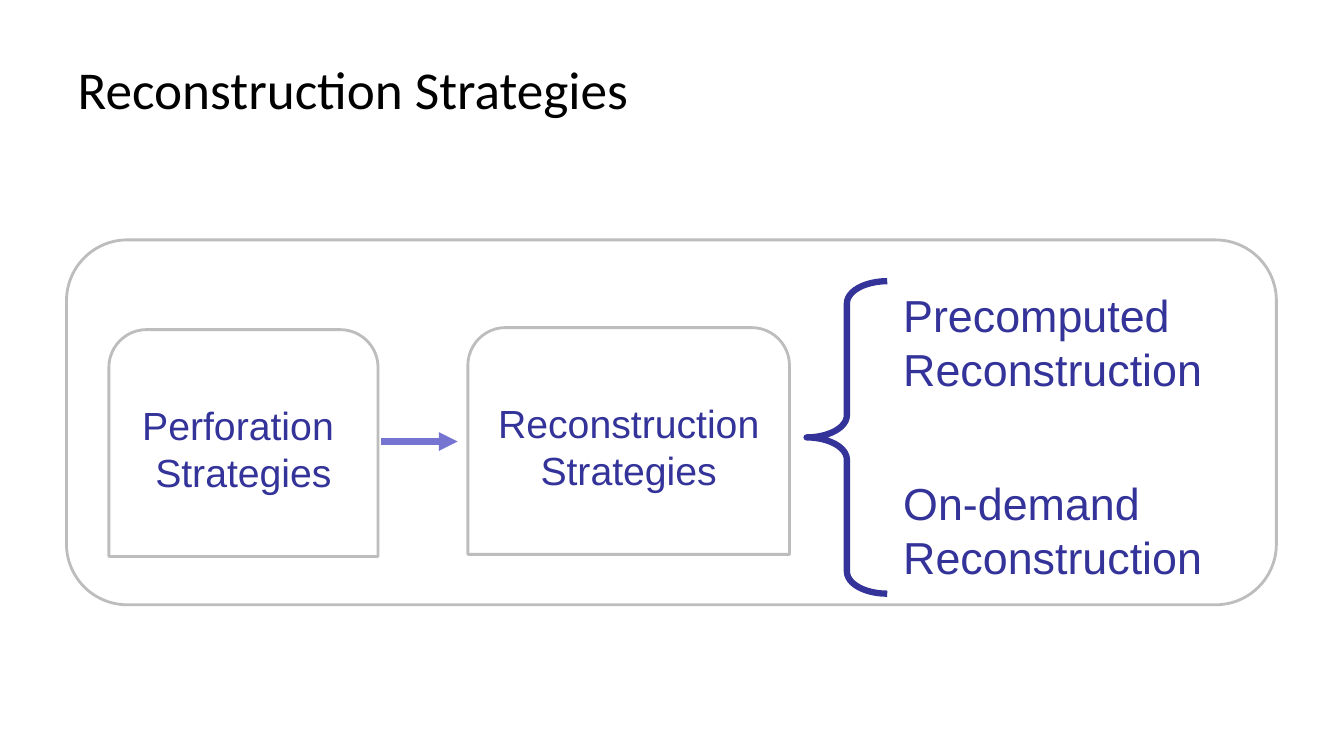
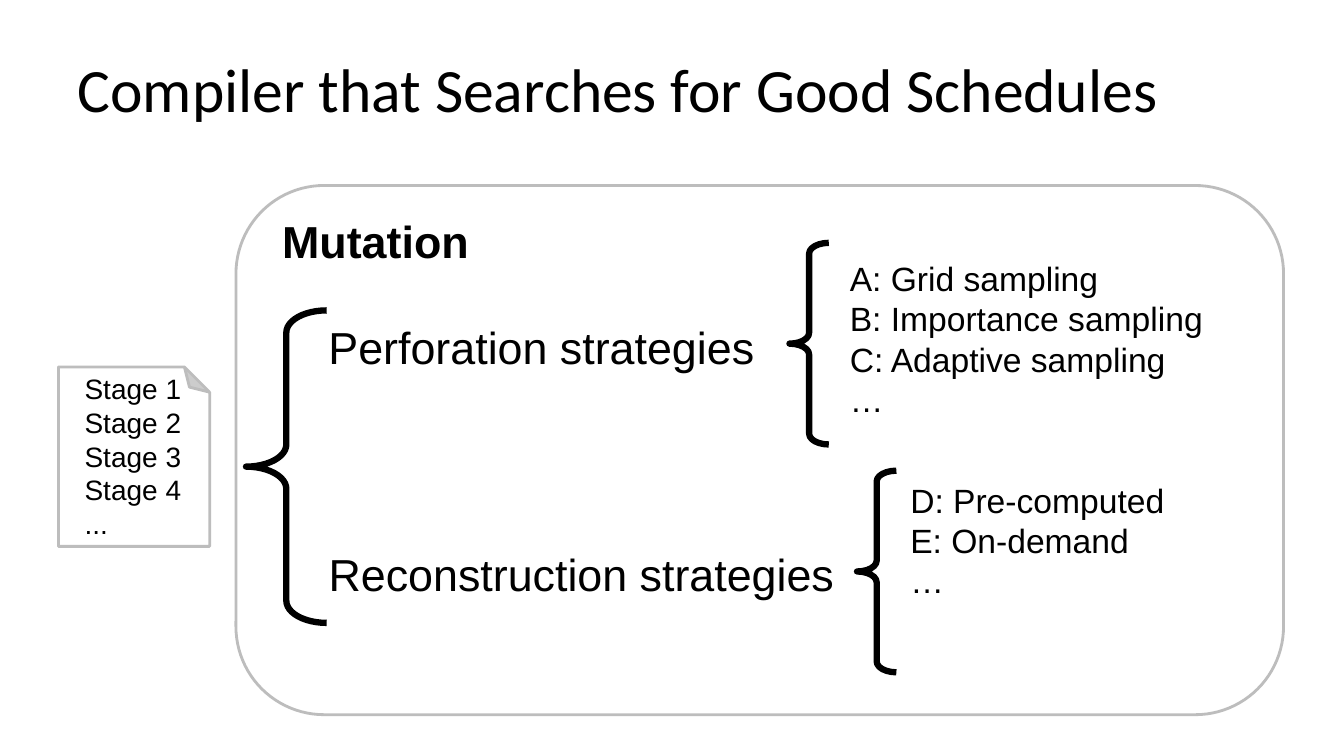
import pptx
import pptx.util
import pptx.dml.color
import pptx.enum.shapes
import pptx.enum.text
import pptx.oxml
import pptx.oxml.ns

RGBColor = pptx.dml.color.RGBColor
SHAPE = pptx.enum.shapes.MSO_SHAPE
ALIGN = pptx.enum.text.PP_ALIGN
ANCHOR = pptx.enum.text.MSO_ANCHOR

BLACK = RGBColor(0x00, 0x00, 0x00)
WHITE = RGBColor(0xFF, 0xFF, 0xFF)
GREY = RGBColor(0xBD, 0xBD, 0xBD)
NAVY = RGBColor(0x33, 0x33, 0x99)
LILAC = RGBColor(0x75, 0x75, 0xD1)

SCALE = 9144
WIDE, HIGH = 1333, 750
TITLE = (67, 25, 1242, 125)
THIN, THICK = 2, 4.5


def px(*nums):
    return [pptx.util.Emu(num * SCALE) for num in nums]


def write(frame, lines, size=32, face="Arial", color=BLACK, bold=False,
          align=ALIGN.LEFT, anchor=ANCHOR.TOP):
    frame.word_wrap = True
    frame.auto_size = pptx.enum.text.MSO_AUTO_SIZE.NONE
    frame.vertical_anchor = anchor
    frame.text = "\n".join(lines)
    for para in frame.paragraphs:
        para.alignment = align
        for run in para.runs:
            font = run.font
            font.name, font.size = face, pptx.util.Pt(size)
            font.bold, font.color.rgb = bold, color


def label(slide, box, *lines, **style):
    write(slide.shapes.add_textbox(*px(*box)).text_frame, lines, **style)


def shape(slide, kind, box, line=GREY, width=THIN, alpha=100):
    item = slide.shapes.add_shape(kind, *px(*box))
    item.shadow.inherit = False
    item.line.color.rgb = line
    item.line.width = pptx.util.Pt(width)
    item.fill.solid()
    item.fill.fore_color.rgb = WHITE
    if alpha < 100:
        tint = item.fill._xPr.find(".//" + pptx.oxml.ns.qn("a:srgbClr"))
        pptx.oxml.ns.qn("a:alpha")
        tint.append(pptx.oxml.parse_xml(
            f'<a:alpha {pptx.oxml.ns.nsdecls("a")} val="{alpha * 1000}"/>'))
    return item


def brace(slide, box, color):
    item = shape(slide, SHAPE.LEFT_BRACE, box, line=color, width=THICK)
    item.fill.background()
    item.adjustments[0] = 0.275


def block(slide, box, *lines):
    item = shape(slide, SHAPE.ROUND_2_SAME_RECTANGLE, box)
    write(item.text_frame, lines, size=28, color=NAVY,
          align=ALIGN.CENTER, anchor=ANCHOR.MIDDLE)


def arrow(slide, start, end):
    item = slide.shapes.add_connector(
        pptx.enum.shapes.MSO_CONNECTOR.STRAIGHT, *px(*start, *end))
    item.line.color.rgb = LILAC
    item.line.width = pptx.util.Pt(THICK)
    names = pptx.oxml.ns.nsdecls("a")
    item.line._get_or_add_ln().append(
        pptx.oxml.parse_xml(f'<a:tailEnd {names} type="triangle"/>'))
    item._element.spPr.append(pptx.oxml.parse_xml(f"<a:effectLst {names}/>"))


def page(deck, title, size):
    slide = deck.slides.add_slide(deck.slide_layouts[5])
    head = slide.shapes.title
    head.left, head.top, head.width, head.height = px(*TITLE)
    write(head.text_frame, [title], size=size, face="Calibri",
          anchor=ANCHOR.MIDDLE)
    return slide


def rebuild(deck):
    slide = page(deck, "Reconstruction Strategies", 38)
    shape(slide, SHAPE.ROUNDED_RECTANGLE, (66, 238, 1200, 362), alpha=57)
    block(slide, (108, 327, 267, 225), "Perforation ", "Strategies")
    block(slide, (464, 325, 319, 225), "Reconstruction", "Strategies")
    arrow(slide, (378, 438), (454, 438))
    brace(slide, (800, 279, 80, 310), NAVY)
    label(slide, (886, 281, 392, 118), "Precomputed Reconstruction", color=NAVY)
    label(slide, (886, 467, 326, 118), "On-demand", "Reconstruction", color=NAVY)


def search(deck):
    slide = page(deck, "Compiler that Searches for Good Schedules", 44)
    note = shape(slide, SHAPE.FOLDED_CORNER, (58, 364, 150, 178))
    note.rotation = 180
    note._element.spPr.xfrm.set("flipH", "1")
    label(slide, (74, 364, 118, 178),
          "Stage 1", "Stage 2", "Stage 3", "Stage 4", "...", size=20)
    shape(slide, SHAPE.ROUNDED_RECTANGLE, (234, 184, 1039, 525), alpha=26)
    label(slide, (270, 207, 208, 64), "Mutation", bold=True)
    label(slide, (316, 312, 450, 64), "Perforation strategies")
    label(slide, (316, 537, 532, 64), "Reconstruction strategies")
    for box in ((244, 308, 80, 310), (783, 241, 39, 200), (850, 467, 39, 200)):
        brace(slide, box, BLACK)
    label(slide, (833, 251, 430, 172), "A: Grid sampling",
          "B: Importance sampling", "C: Adaptive sampling", "…", size=24)
    label(slide, (893, 471, 370, 131), "D: Pre-computed", "E: On-demand", "…",
          size=24)


def main():
    deck = pptx.Presentation()
    deck.slide_width, deck.slide_height = px(WIDE, HIGH)
    rebuild(deck)
    search(deck)
    deck.save("out.pptx")


if __name__ == "__main__":
    main()
